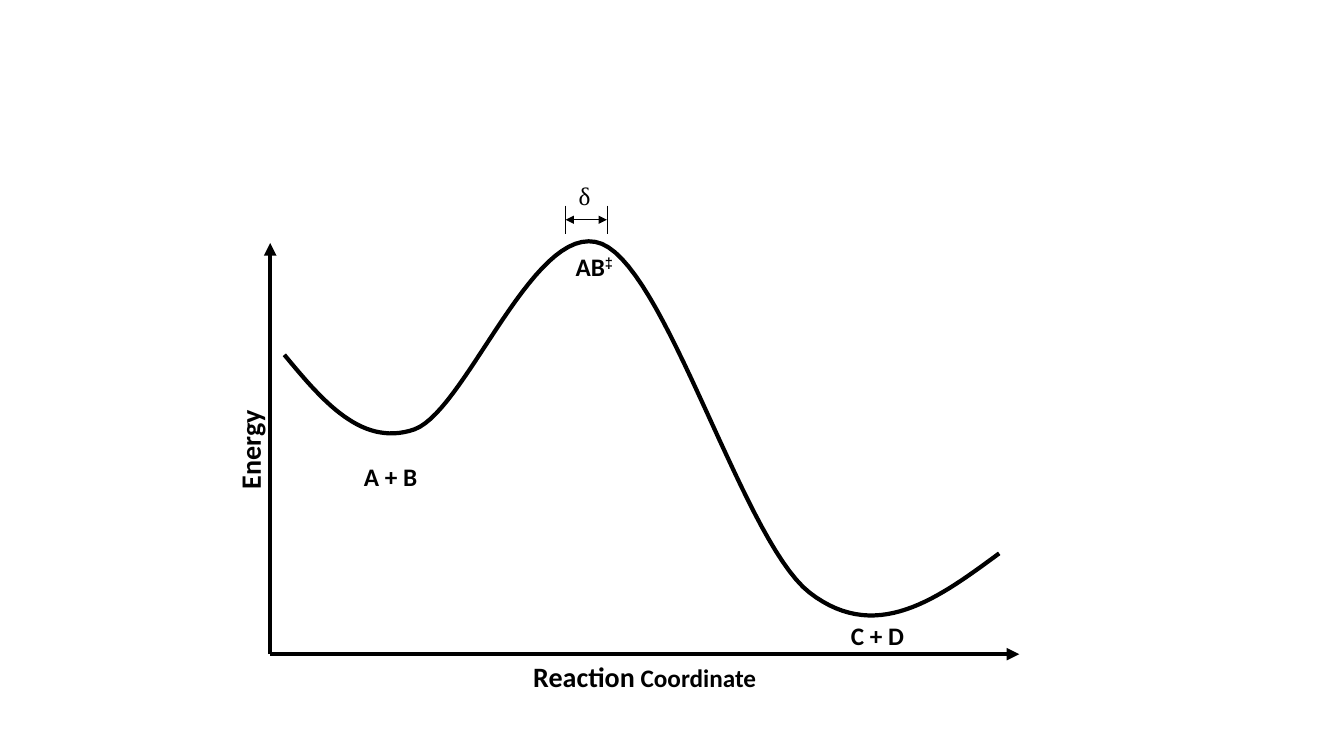
import dataclasses

import lxml.etree
import pptx
import pptx.dml.color
import pptx.enum.shapes
import pptx.enum.text
import pptx.oxml.ns
import pptx.util

Inches = pptx.util.Inches


@dataclasses.dataclass(frozen=True)
class Theme:
    """Colours, fonts and sizes of the diagram."""
    ink: pptx.dml.color.RGBColor = pptx.dml.color.RGBColor(0, 0, 0)
    font: str = "Calibri"
    symbol_font: str = "Arial"
    greek_font: str = "Times New Roman"
    axis_size: int = 20
    label_size: int = 18
    thick: float = 3
    thin: float = 0.5


@dataclasses.dataclass(frozen=True)
class Box:
    """A region of the page in inches."""
    left: float
    top: float
    width: float
    height: float

    def inside(self, left, top, width, height):
        """Return a box placed relative to this one."""
        return Box(self.left + left, self.top + top, width, height)


THEME = Theme()
PLOT = Box(2.68, 2.41, 7.43, 4.08)
DELTA = Box(5.61, 2.04, 0.41, 0.28)
CURVE_START = (0.14, 1.11)
CURVE_SEGMENTS = [
    ((0.52, 1.57), (0.91, 2.03), (1.43, 1.85)),
    ((1.95, 1.66), (2.63, -0.26), (3.29, 0.01)),
    ((3.94, 0.28), (4.69, 2.96), (5.35, 3.47)),
    ((6.01, 3.98), (6.62, 3.53), (7.23, 3.08)),
]
CURVE_STEPS = 30


def add_label(page, box, text, size, font=THEME.font, bold=True, wrap=True):
    """Add a one-line label and return its shape and paragraph."""
    shape = page.shapes.add_textbox(*map(Inches, dataclasses.astuple(box)))
    shape.text_frame.word_wrap = wrap
    shape.text_frame.auto_size = pptx.enum.text.MSO_AUTO_SIZE.SHAPE_TO_FIT_TEXT
    para = shape.text_frame.paragraphs[0]
    para.add_run().text = text
    para.font.name = font
    para.font.size = pptx.util.Pt(size)
    para.font.bold = bold
    para.font.color.rgb = THEME.ink
    return shape, para


def add_line(page, start, end, weight, arrows=()):
    """Add a straight line with arrowheads at the named ends."""
    line = page.shapes.add_connector(
        pptx.enum.shapes.MSO_CONNECTOR.STRAIGHT, *map(Inches, start + end))
    line.line.color.rgb = THEME.ink
    line.line.width = pptx.util.Pt(weight)
    outline = line.line._get_or_add_ln()
    for arrow in arrows:
        lxml.etree.SubElement(outline, pptx.oxml.ns.qn(f"a:{arrow}"), type="triangle")
    lxml.etree.SubElement(line._element.spPr, pptx.oxml.ns.qn("a:effectLst"))


def bezier_points(start, segments):
    """Return points along a chain of cubic curves."""
    points = [start]
    for first, second, end in segments:
        for step in range(1, CURVE_STEPS + 1):
            t = step / CURVE_STEPS
            weights = ((1 - t) ** 3, 3 * t * (1 - t) ** 2, 3 * t ** 2 * (1 - t), t ** 3)
            points.append(tuple(
                sum(weight * value for weight, value in zip(weights, values))
                for values in zip(start, first, second, end)))
        start = end
    return points


def draw_axes(page, box):
    """Draw both axes and their titles."""
    bottom = box.top + box.height
    origin = (box.left, bottom)
    for end in ((box.left, box.top), (box.left + box.width, bottom)):
        add_line(page, origin, end, THEME.thick, ["tailEnd"])
    title = box.inside(2.51, box.height, 2.51, 0.44)
    _, para = add_label(page, title, "Reaction", THEME.axis_size)
    span = para.add_run()
    span.text = " Coordinate"
    span.font.size = pptx.util.Pt(THEME.label_size)
    energy, _ = add_label(page, box.inside(-0.7, 1.82, 1, 0.44), "Energy", THEME.axis_size)
    energy.rotation = 270


def draw_curve(page, box):
    """Draw the energy curve and name its states."""
    points = [(Inches(box.left + x), Inches(box.top + y))
              for x, y in bezier_points(CURVE_START, CURVE_SEGMENTS)]
    builder = page.shapes.build_freeform(*points[0])
    builder.add_line_segments(points[1:], close=False)
    curve = builder.convert_to_shape()
    curve.shadow.inherit = False
    curve.fill.background()
    curve.line.color.rgb = THEME.ink
    curve.line.width = pptx.util.Pt(THEME.thick)
    add_label(page, box.inside(0.83, 2.12, 0.75, 0.4), "A + B", THEME.label_size)
    add_label(page, box.inside(5.66, 3.7, 1.12, 0.4), "C + D", THEME.label_size)
    _, para = add_label(page, box.inside(2.93, 0.03, 0.75, 0.4), "AB", THEME.label_size)
    span = para.add_run()
    span.text = "‡"
    span.font.name = THEME.symbol_font
    span.font._element.set("baseline", "30000")


def draw_delta(page, box):
    """Draw the width marker above the peak."""
    right, middle = box.left + box.width, box.top + box.height / 2
    for x in (box.left, right):
        add_line(page, (x, box.top), (x, box.top + box.height), THEME.thin)
    add_line(page, (box.left, middle), (right, middle), THEME.thin, ["headEnd", "tailEnd"])
    add_label(page, box.inside(0.03, -0.3, 0.34, 0.4), "δ", THEME.label_size,
              THEME.greek_font, bold=False, wrap=False)


def main():
    """Build and save the deck."""
    deck = pptx.Presentation()
    deck.slide_width, deck.slide_height = Inches(13.33), Inches(7.5)
    page = deck.slides.add_slide(deck.slide_layouts[6])
    draw_axes(page, PLOT)
    draw_curve(page, PLOT)
    draw_delta(page, DELTA)
    deck.save("out.pptx")


main()
